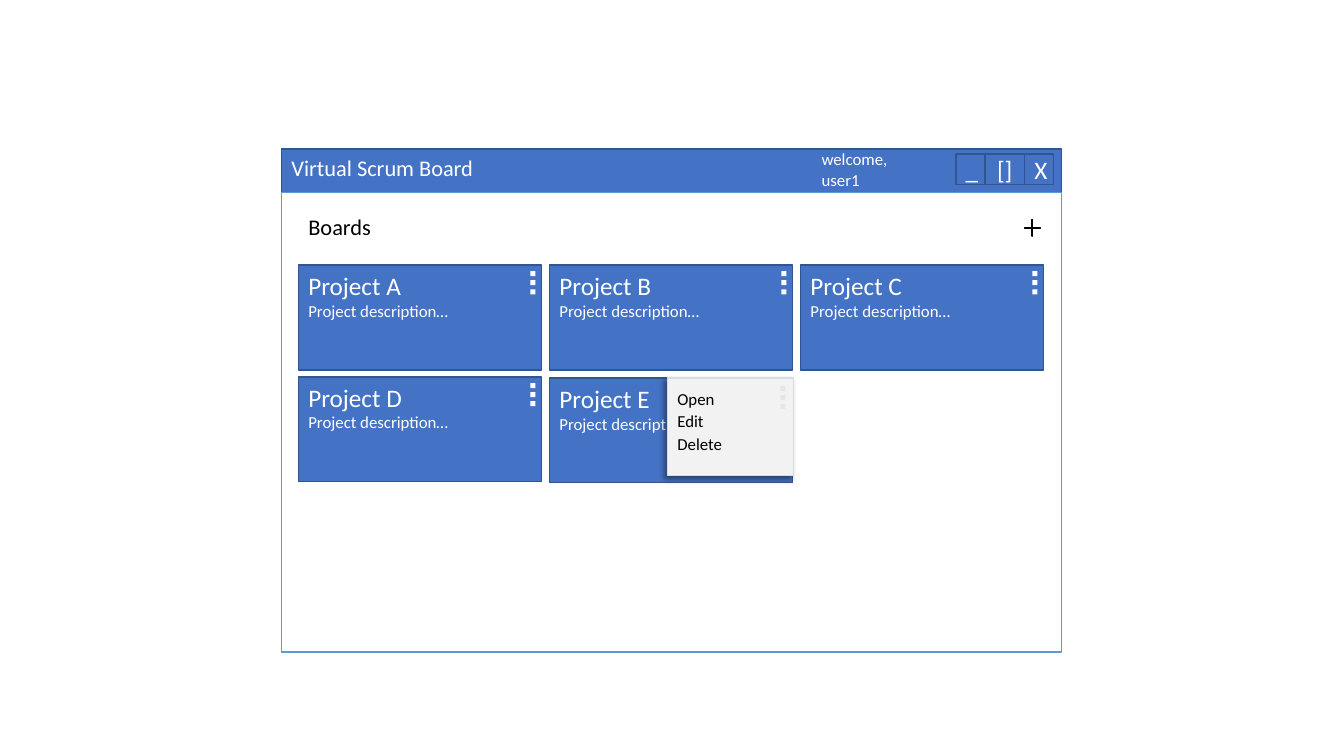
from lxml.etree import SubElement as Sub
from pptx import Presentation as Deck
from pptx.dml.color import RGBColor
from pptx.enum.shapes import MSO_SHAPE as Form
from pptx.enum.text import MSO_ANCHOR as Anchor, MSO_AUTO_SIZE as Fit, PP_ALIGN as Align
from pptx.oxml.ns import qn
from pptx.util import Inches, Pt

BLUE = RGBColor(0x44, 0x72, 0xC4)
NAVY = RGBColor(0x32, 0x54, 0x91)
SKY = RGBColor(0x5B, 0x9B, 0xD5)
PALE = RGBColor(0xF2, 0xF2, 0xF2)
MIST = RGBColor(0xD6, 0xDC, 0xE5)
GREY = RGBColor(0xE7, 0xE6, 0xE6)
WHITE = RGBColor(0xFF, 0xFF, 0xFF)
BLACK = RGBColor(0, 0, 0)


def write(frame, text, size=12, color=WHITE, align=Align.LEFT, anchor=Anchor.TOP):
    frame.word_wrap = True
    frame.vertical_anchor = anchor
    frame.text = text
    for para in frame.paragraphs:
        para.alignment = align
        para.font.size = Pt(size)
        para.font.name = "Calibri"
        para.font.color.rgb = color


def label(slide, x, y, w, h, text, **look):
    box = slide.shapes.add_textbox(Inches(x), Inches(y), Inches(w), Inches(h))
    write(box.text_frame, text, **look)
    box.text_frame.auto_size = Fit.SHAPE_TO_FIT_TEXT


def paint(shape, fill, line=None):
    shape.fill.solid()
    shape.fill.fore_color.rgb = fill
    if line is None:
        shape.line.fill.background()
    else:
        shape.line.color.rgb = line
        shape.line.width = Pt(1)


def block(slide, x, y, w, h, fill, line=None, form=Form.RECTANGLE):
    shape = slide.shapes.add_shape(form, Inches(x), Inches(y), Inches(w), Inches(h))
    shape.shadow.inherit = False
    paint(shape, fill, line)
    return shape


def dots(slide, x, y, color=WHITE):
    for i in range(3):
        block(slide, x, y + i * 0.09, 0.05, 0.05, color)


def header(slide, x, y, w, h):
    title = slide.shapes.title
    title.left, title.top = Inches(x), Inches(y)
    title.width, title.height = Inches(w), Inches(h)
    paint(title, BLUE, NAVY)
    write(title.text_frame, "Virtual Scrum Board", size=16)
    title.text_frame.auto_size = Fit.NONE
    label(slide, x + 5.26, y - 0.05, 1.38, 0.5, "welcome,\nuser1")
    left = x + 6.69
    for sign, wide in (("_", 0.29), ("[]", 0.39), ("X", 0.29)):
        key = block(slide, left, y + 0.05, wide, 0.3, BLUE, NAVY)
        write(key.text_frame, sign, size=18, align=Align.CENTER, anchor=Anchor.MIDDLE)
        left += wide


def card(slide, x, y, w, h, name, note):
    block(slide, x, y, w, h, BLUE, NAVY)
    label(slide, x, y, 1.94, 0.4, name, size=18)
    label(slide, x, y + 0.3, 1.94, 0.3, note)
    dots(slide, x + w - 0.11, y + 0.06)


def menu(slide, x, y, w, h):
    pane = block(slide, x, y, w, h, PALE, MIST)
    glow = pane._element.spPr.find(qn("a:effectLst"))
    shade = Sub(glow, qn("a:outerShdw"), blurRad=str(Pt(4)), dist=str(Pt(3)),
                dir="8100000", algn="tr", rotWithShape="0")
    tone = Sub(shade, qn("a:srgbClr"), val="000000")
    Sub(tone, qn("a:alpha"), val="40000")
    for i, item in enumerate(("Open", "Edit", "Delete")):
        label(slide, x, y + 0.06 + i * 0.22, 0.86, 0.3, item, color=BLACK)
    dots(slide, x + w - 0.13, y + 0.08, GREY)


def board(slide, x, y, w, h):
    block(slide, x, y, w, h, WHITE, SKY)
    label(slide, x + 0.17, y + 0.16, 2.71, 0.37, "Boards", size=16, color=BLACK)
    plus = block(slide, x + 7.37, y + 0.27, 0.16, 0.16, BLACK, BLACK, Form.CROSS)
    plus.adjustments[0] = 0.48
    for i, mark in enumerate("ABCD"):
        row, col = divmod(i, 3)
        card(slide, x + 0.17 + col * 2.49, y + 0.72 + row * 1.11, 2.41, 1.04,
             f"Project {mark}", "Project description…")
    left, top = x + 2.66, y + 1.84
    block(slide, left, top, 2.41, 1.04, BLUE, NAVY)
    label(slide, left, top, 1.94, 0.4, "Project E", size=18)
    label(slide, left, top + 0.31, 1.94, 0.3, "Project descript")
    menu(slide, left + 1.17, top, 1.25, 0.97)


def main():
    deck = Deck()
    deck.slide_width, deck.slide_height = Inches(13.33), Inches(7.5)
    slide = deck.slides.add_slide(deck.slide_layouts[5])
    header(slide, 2.79, 1.48, 7.74, 0.43)
    board(slide, 2.79, 1.91, 7.74, 4.56)
    deck.save("out.pptx")


if __name__ == "__main__":
    main()
